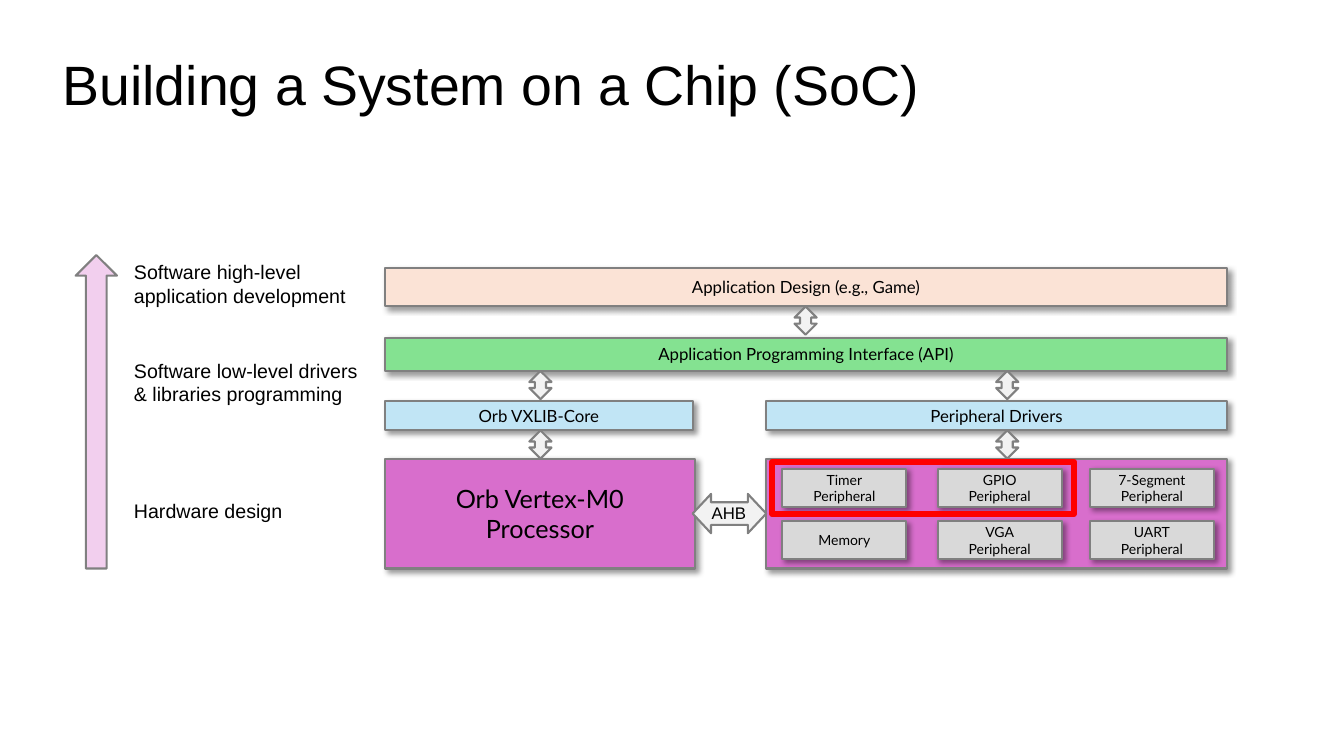
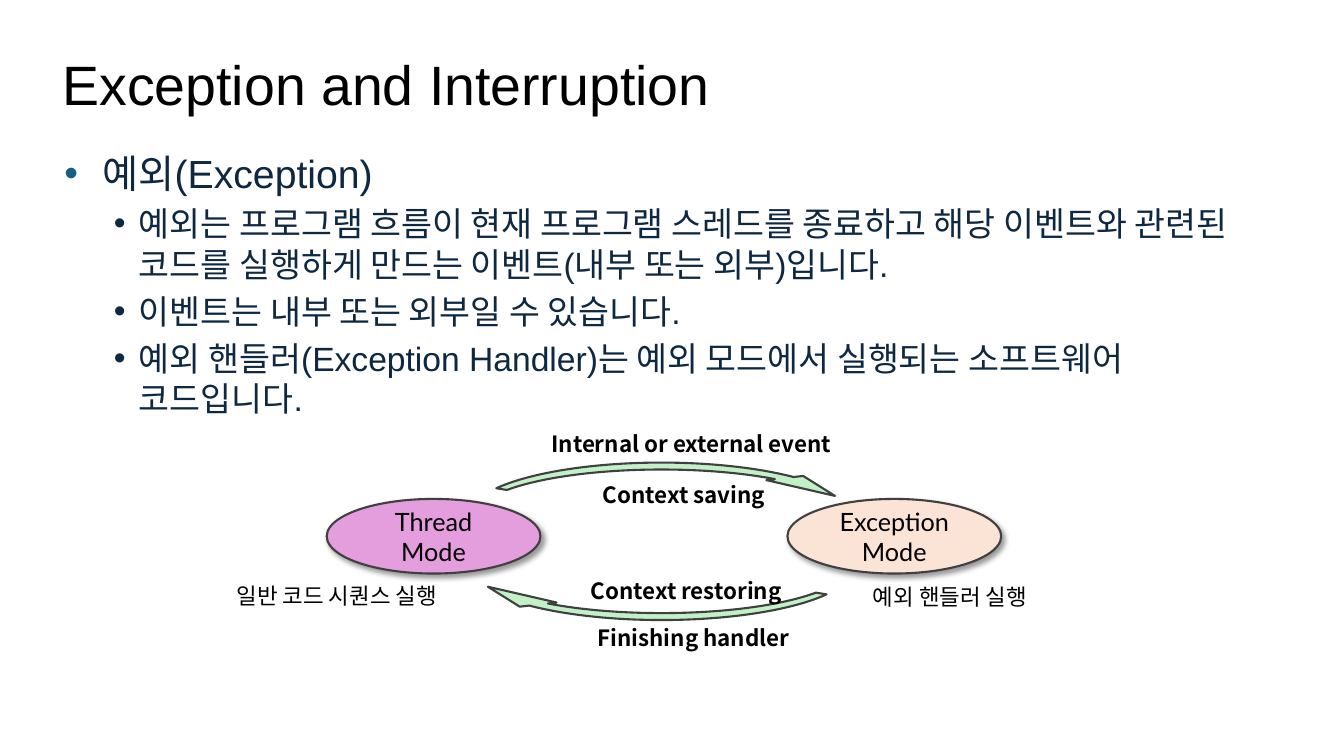
from dataclasses import dataclass

from lxml import etree
from pptx import Presentation
from pptx import util as u
from pptx.dml.color import RGBColor
from pptx.enum import shapes, text
from pptx.oxml import ns

SHAPE = shapes.MSO_SHAPE
PX = u.Inches(1) // 100  # 100 px to the inch


@dataclass(frozen=True)
class Theme:
    sans: str = "Arial"
    label: str = "Lato"
    strong: str = "Noto Sans CJK KR"
    black: str = "000000"
    navy: str = "0E2841"
    teal: str = "156082"
    grey: str = "808080"
    dark: str = "404040"
    red: str = "FF0000"
    peach: str = "FBE3D6"
    green: str = "84E291"
    mint: str = "C2F1C8"
    sky: str = "C1E5F5"
    orchid: str = "D86ECC"
    mauve: str = "E59EDD"
    blush: str = "F2CFEE"
    silver: str = "D9D9D9"
    pale: str = "F2F2F2"
    title: float = 39.6
    body: tuple = (28, 24)
    large: int = 18
    caption: int = 16
    side: int = 14
    bar: int = 12
    chip: int = 10
    line: float = 1.5
    frame: float = 4.5


T = Theme()

# Slide 1 content: boxes are (left, top, width, height)
SOC_TITLE = "Building a System on a Chip (SoC)"
LAYERS = [
    ((760, 455, 457, 109), T.orchid, T.large, []),
    ((382, 398, 305, 29), T.sky, T.bar, ["Orb VXLIB-Core"]),
    ((760, 398, 457, 29), T.sky, T.bar, ["Peripheral Drivers"]),
    ((382, 335, 835, 33), T.green, T.bar, ["Application Programming Interface (API)"]),
    ((382, 266, 835, 38), T.peach, T.bar, ["Application Design (e.g., Game)"]),
    ((382, 455, 307, 109), T.orchid, T.large, ["Orb Vertex-M0", "Processor"]),
]
CHIP_LEFTS, CHIP_TOPS, CHIP_SIZE = (776, 930, 1081), (465, 517), (123, 38)
CHIPS = [
    [["Timer", "Peripheral"], ["GPIO", "Peripheral"], ["7-Segment", "Peripheral"]],
    [["Memory"], ["VGA", "Peripheral"], ["UART", "Peripheral"]],
]
LINK_SIZE = (22, 28)
LINKS = [(788, 304), (525, 368), (988, 368), (525, 427), (988, 427)]
SOC_TEXTS = [
    ((123, 253, 302, 57), ["Software high-level", "application development"], T.side),
    ((123, 351, 259, 57), ["Software low-level drivers & libraries programming"], T.side),
    ((123, 490, 244, 34), ["Hardware design"], T.side),
    ((696, 494, 83, 30), ["AHB"], T.bar),
]
LEVEL_ARROW = (75, 253, 41, 311)
BUS_ARROW = (687, 490, 73, 39)
FOCUS_FRAME = (766, 458, 299, 52)

# Slide 2 content
EXC_TITLE = "Exception and Interruption"
BODY_BOX = (54, 143, 1223, 483)
BULLETS = [
    (0, "예외(Exception)"),
    (1, "예외는 프로그램 흐름이 현재 프로그램 스레드를 종료하고 해당 이벤트와 관련된 "
        "코드를 실행하게 만드는 이벤트(내부 또는 외부)입니다."),
    (1, "이벤트는 내부 또는 외부일 수 있습니다."),
    (1, "예외 핸들러(Exception Handler)는 예외 모드에서 실행되는 소프트웨어 코드입니다."),
]
LEVELS = [  # margin, hanging indent, space before, bullet colour
    (38, 38, 6, T.teal),
    (74, 25, 5, T.navy),
]
MODES = [
    ((324, 495, 212, 74), T.mauve, ["Thread", "Mode"]),
    ((781, 495, 212, 74), T.peach, ["Exception", "Mode"]),
]
ARC_ADJ = (0.051, 6.281, 205.834, 113.642, 0.136)
ARCS = [((450, 444, 412, 135), 0), ((450, 495, 412, 135), 180)]
EVENTS = [
    ((537, 422, 332, 37), "Internal or external event"),
    ((588, 472, 251, 37), "Context saving"),
    ((576, 568, 251, 37), "Context restoring"),
    ((583, 614, 250, 37), "Finishing handler"),
]
MODE_NOTES = [
    ((856, 574, 308, 37), "예외 핸들러 실행"),
    ((225, 573, 252, 37), "일반 코드 시퀀스 실행"),
]


# Helpers
def assign(obj, **values):
    for name, value in values.items():
        setattr(obj, name, value)


def emu(box):
    return [v * PX for v in box]


def sub(parent, tag, **attrs):
    el = etree.SubElement(parent, ns.qn(tag))
    for name, value in attrs.items():
        el.set(name, str(value))
    return el


def write(tf, lines, size, font=T.sans, color=T.black, bold=False, align=None):
    for i, line in enumerate(lines):
        p = tf.paragraphs[0] if i == 0 else tf.add_paragraph()
        p.alignment = align
        r = p.add_run()
        r.text = line
        assign(r.font, name=font, size=u.Pt(size), bold=bold)
        r.font.color.rgb = RGBColor.from_string(color)


def add_shape(s, kind, box, fill, line=T.grey, width=T.line, shadow=False, adj=()):
    sp = s.shapes.add_shape(kind, *emu(box))
    for i, value in enumerate(adj):
        sp.adjustments[i] = value
    if fill:
        sp.fill.solid()
        sp.fill.fore_color.rgb = RGBColor.from_string(fill)
    else:
        sp.fill.background()
    sp.line.color.rgb = RGBColor.from_string(line)
    sp.line.width = u.Pt(width)
    sp.shadow.inherit = False
    if shadow:
        effects = sp._element.spPr.find(ns.qn("a:effectLst"))
        outer = sub(effects, "a:outerShdw", blurRad=u.Pt(4), dist=u.Pt(3),
                    dir=45 * 60000, algn="tl", rotWithShape=0)
        sub(sub(outer, "a:srgbClr", val=T.black), "a:alpha", val=40000)
    return sp


def add_block(s, kind, box, fill, lines, size, line=T.grey):
    sp = add_shape(s, kind, box, fill, line, shadow=True)
    assign(sp.text_frame, word_wrap=False, vertical_anchor=text.MSO_ANCHOR.MIDDLE)
    write(sp.text_frame, lines, size, T.label, align=text.PP_ALIGN.CENTER)


def add_text(s, box, lines, size, **style):
    tf = s.shapes.add_textbox(*emu(box)).text_frame
    tf.word_wrap = True
    write(tf, lines, size, **style)
    return tf


def add_slide(prs, title):
    s = prs.slides.add_slide(prs.slide_layouts[5])
    sp = s.shapes.title
    left, top, width, height = emu((52, 51, 1228, 72))
    assign(sp, left=left, top=top, width=width, height=height)
    tf = sp.text_frame
    assign(tf, word_wrap=True, auto_size=text.MSO_AUTO_SIZE.NONE,
           vertical_anchor=text.MSO_ANCHOR.MIDDLE)
    write(tf, [title], T.title, align=text.PP_ALIGN.LEFT)
    tf.paragraphs[0].line_spacing = 0.9
    return s


def format_bullet(p, level):
    margin, hang, before, color = LEVELS[level]
    assign(p, level=level, space_before=u.Pt(before))
    for r in p.runs:
        r.font.size = u.Pt(T.body[level])
    pPr = p._p.get_or_add_pPr()
    pPr.set("marL", str(margin * PX))
    pPr.set("indent", str(-hang * PX))
    sub(sub(pPr, "a:buClr"), "a:srgbClr", val=color)
    sub(pPr, "a:buFont", typeface=T.sans)
    sub(pPr, "a:buChar", char="•")


# Slides
def build_soc(prs):
    s = add_slide(prs, SOC_TITLE)
    for box, fill, size, lines in LAYERS:
        add_block(s, SHAPE.RECTANGLE, box, fill, lines, size)
    for top, row in zip(CHIP_TOPS, CHIPS):
        for left, lines in zip(CHIP_LEFTS, row):
            add_block(s, SHAPE.RECTANGLE, (left, top, *CHIP_SIZE), T.silver, lines, T.chip)
    for spot in LINKS:
        add_shape(s, SHAPE.UP_DOWN_ARROW, (*spot, *LINK_SIZE), T.pale)
    add_shape(s, SHAPE.UP_ARROW, LEVEL_ARROW, T.blush)
    add_shape(s, SHAPE.LEFT_RIGHT_ARROW, BUS_ARROW, T.pale, adj=(0.573, 0.468))
    for box, lines, size in SOC_TEXTS:
        add_text(s, box, lines, size)
    add_shape(s, SHAPE.RECTANGLE, FOCUS_FRAME, None, T.red, T.frame)


def build_exception(prs):
    s = add_slide(prs, EXC_TITLE)
    tf = add_text(s, BODY_BOX, [line for _, line in BULLETS], T.body[0], color=T.navy)
    for p, (level, _) in zip(tf.paragraphs, BULLETS):
        format_bullet(p, level)
    for box, fill, lines in MODES:
        add_block(s, SHAPE.OVAL, box, fill, lines, T.large, T.dark)
    for box, turn in ARCS:
        arc = add_shape(s, SHAPE.CIRCULAR_ARROW, box, T.mint, T.dark, adj=ARC_ADJ)
        arc.rotation = turn
    for box, line in EVENTS:
        add_text(s, box, [line], T.caption, font=T.strong, bold=True)
    for box, line in MODE_NOTES:
        add_text(s, box, [line], T.caption)


def main():
    prs = Presentation()
    assign(prs, slide_width=u.Inches(13.33), slide_height=u.Inches(7.5))
    build_soc(prs)
    build_exception(prs)
    prs.save("out.pptx")


if __name__ == "__main__":
    main()
